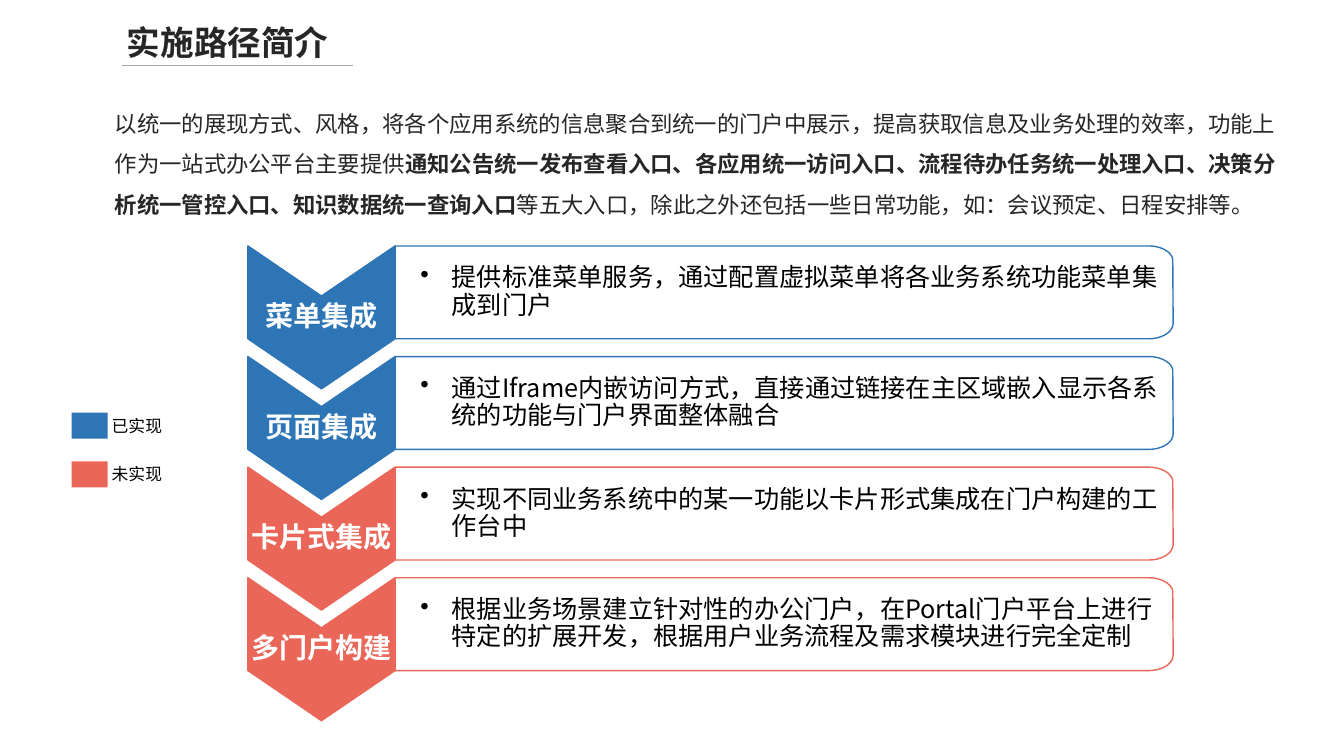
import math
from dataclasses import dataclass

from lxml import etree
from pptx import Presentation
from pptx import util as u
from pptx.dml import color
from pptx.enum import shapes, text
from pptx.oxml import ns

FONT = "Noto Sans CJK SC"
HUES = {
    "done": "2E75B6",
    "todo": "EA6658",
    "ink": "262626",
    "black": "000000",
    "white": "FFFFFF",
    "rule": "A6A6A6",
}
LEFT, TOP, PITCH = 177.1, 175.7, 79
ARROW, BAR = 105.1, 555.8
SIDE, NOTCH = 66.3, 35.8
ROUND_X, ROUND_Y = 17.3, 11.1


@dataclass
class Run:
    words: str
    size: float
    hue: str
    bold: bool = False


@dataclass
class Step:
    name: str
    words: str
    state: str


@dataclass
class Key:
    label: str
    state: str
    top: float


STEPS = [
    Step("菜单集成", "提供标准菜单服务，通过配置虚拟菜单将各业务系统功能菜单集成到门户", "done"),
    Step("页面集成", "通过Iframe内嵌访问方式，直接通过链接在主区域嵌入显示各系统的功能与门户界面整体融合", "done"),
    Step("卡片式集成", "实现不同业务系统中的某一功能以卡片形式集成在门户构建的工作台中", "todo"),
    Step("多门户构建", "根据业务场景建立针对性的办公门户，在Portal门户平台上进行特定的扩展开发，"
         "根据用户业务流程及需求模块进行完全定制", "todo"),
]
KEYS = [Key("已实现", "done", 294.7), Key("未实现", "todo", 329.5)]
INTRO = [
    Run("以统一的展现方式、风格，将各个应用系统的信息聚合到统一的门户中展示，"
        "提高获取信息及业务处理的效率，功能上作为一站式办公平台主要提供", 16, "ink"),
    Run("通知公告统一发布查看入口、各应用统一访问入口、流程待办任务统一处理入口、"
        "决策分析统一管控入口、知识数据统一查询入口", 16, "ink", True),
    Run("等五大入口，除此之外还包括一些日常功能，如：会议预定、日程安排等。", 16, "ink"),
]


def shade(hue: str) -> color.RGBColor:
    return color.RGBColor.from_string(HUES[hue])


def write(frame, runs: list[Run], space: float = 1.0):
    para = frame.paragraphs[0]
    para.line_spacing = space
    for item in runs:
        run = para.add_run()
        run.text = item.words
        font = run.font
        font.size, font.bold = u.Pt(item.size), item.bold
        font.color.rgb = shade(item.hue)
        font.name = FONT
        props = run._r.get_or_add_rPr()
        etree.SubElement(props, ns.qn("a:ea")).set("typeface", FONT)
    return para


def inset(frame, left: float, top: float, right: float, low: float) -> None:
    frame.margin_left, frame.margin_top = u.Pt(left), u.Pt(top)
    frame.margin_right, frame.margin_bottom = u.Pt(right), u.Pt(low)


def label(slide, box: tuple[float, ...], runs: list[Run], wrap: bool = False, space: float = 1.0):
    frame = slide.shapes.add_textbox(*map(u.Pt, box)).text_frame
    frame.word_wrap = wrap
    frame.auto_size = text.MSO_AUTO_SIZE.SHAPE_TO_FIT_TEXT
    write(frame, runs, space)
    return frame


def outline(slide, dots: list[tuple[float, float]], fill: str, edge: str):
    spots = [(u.Pt(x), u.Pt(y)) for x, y in dots]
    pen = slide.shapes.build_freeform(*spots[0], scale=1.0)
    pen.add_line_segments(spots[1:], close=True)
    shape = pen.convert_to_shape()
    shape.shadow.inherit = False
    shape.fill.solid()
    shape.fill.fore_color.rgb = shade(fill)
    shape.line.color.rgb = shade(edge)
    shape.line.width = u.Pt(1)
    frame = shape.text_frame
    frame.word_wrap = True
    frame.vertical_anchor = text.MSO_ANCHOR.MIDDLE
    return shape


def arrow(slide, step: Step, top: float) -> None:
    mid, right, low = LEFT + ARROW / 2, LEFT + ARROW, top + SIDE
    dots = [(right, top), (right, low), (mid, low + NOTCH),
            (LEFT, low), (LEFT, top), (mid, top + NOTCH)]
    frame = outline(slide, dots, step.state, step.state).text_frame
    inset(frame, 1.3, 0, 1.3, 0)
    para = write(frame, [Run(step.name, 20, "white", True)], 0.9)
    para.alignment = text.PP_ALIGN.CENTER


def panel(slide, step: Step, top: float) -> None:
    left, low = LEFT + ARROW, top + SIDE
    hub = left + BAR - ROUND_X
    turns = [math.radians(a) for a in range(-90, 91, 10)]
    curve = [(hub + ROUND_X * math.cos(a),
              (top + ROUND_Y if a < 0 else low - ROUND_Y) + ROUND_Y * math.sin(a))
             for a in turns]
    shape = outline(slide, [(left, top), *curve, (left, low)], "white", step.state)
    tint = shape.element.find(".//" + ns.qn("a:srgbClr"))
    etree.SubElement(tint, ns.qn("a:alpha")).set("val", "90000")
    inset(shape.text_frame, 18, 6.5, 6.5, 6.5)
    para = write(shape.text_frame, [Run(step.words, 18, "black")], 0.9)
    para.level = 1
    para.alignment = text.PP_ALIGN.LEFT
    props = para._p.get_or_add_pPr()
    props.set("marL", str(u.Pt(22.5)))
    props.set("indent", str(u.Pt(-22.5)))
    after = etree.SubElement(props, ns.qn("a:spcAft"))
    etree.SubElement(after, ns.qn("a:spcPct")).set("val", "15000")
    etree.SubElement(props, ns.qn("a:buChar")).set("char", "•")


def legend(slide, key: Key) -> None:
    box = slide.shapes.add_shape(shapes.MSO_SHAPE.RECTANGLE,
                                 *map(u.Pt, (51.1, key.top, 25.9, 18.7)))
    box.shadow.inherit = False
    box.fill.solid()
    box.fill.fore_color.rgb = shade(key.state)
    box.line.fill.background()
    label(slide, (72.7, key.top - 1.6, 51.1, 21.8), [Run(key.label, 12, "black")])


def header(slide) -> None:
    rule = slide.shapes.add_connector(shapes.MSO_CONNECTOR.STRAIGHT,
                                      *map(u.Pt, (87.1, 46.8, 252, 46.8)))
    rule.line.color.rgb = shade("rule")
    rule.line.width = u.Pt(0.5)
    etree.SubElement(rule.element.spPr, ns.qn("a:effectLst"))
    frame = label(slide, (88.6, 13.7, 149.8, 33.1), [Run("实施路径简介", 24, "ink", True)])
    frame.vertical_anchor = text.MSO_ANCHOR.MIDDLE
    inset(frame, 2, 2, 2, 2)


def main() -> None:
    deck = Presentation()
    deck.slide_width, deck.slide_height = u.Pt(960), u.Pt(540)
    slide = deck.slides.add_slide(deck.slide_layouts[6])
    header(slide)
    label(slide, (74.9, 65.5, 857.5, 94.3), INTRO, True, 1.5)
    for row, step in enumerate(STEPS):
        top = TOP + row * PITCH
        arrow(slide, step, top)
        panel(slide, step, top)
    for key in KEYS:
        legend(slide, key)
    deck.save("out.pptx")


if __name__ == "__main__":
    main()
